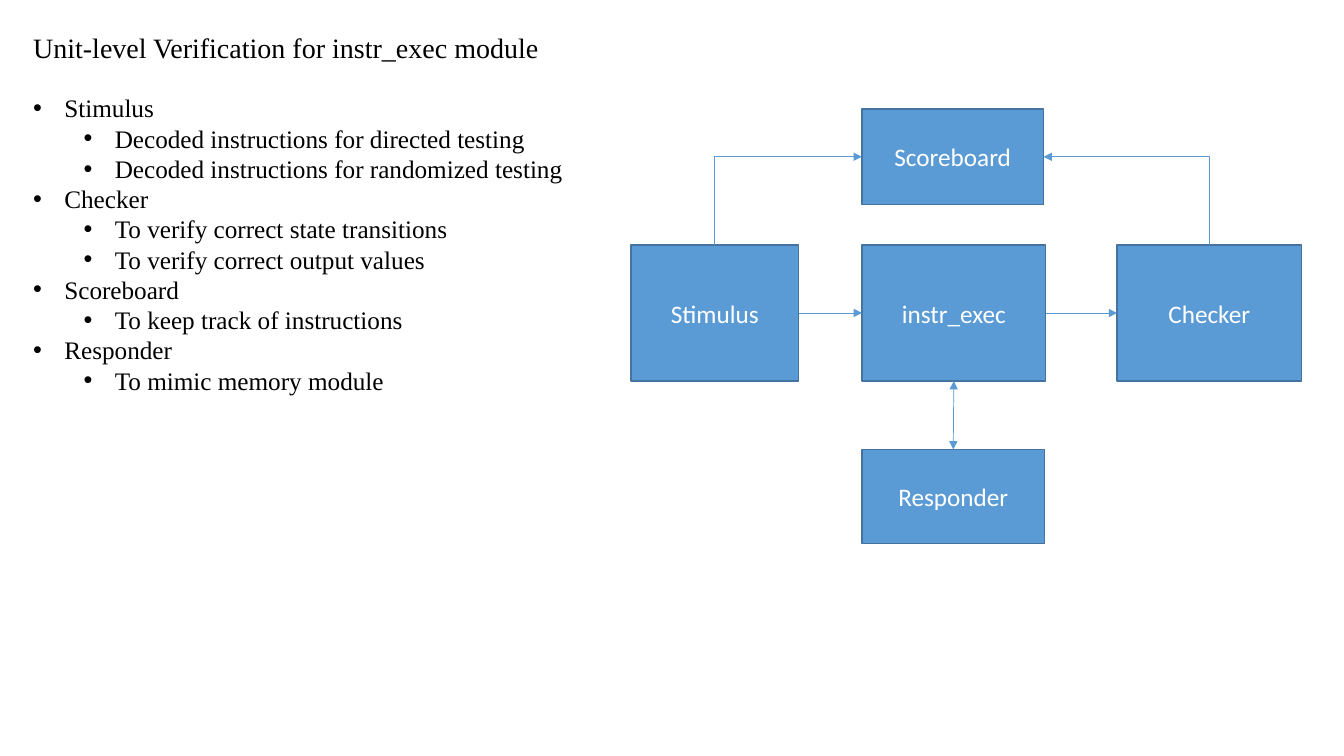
from dataclasses import dataclass

from lxml.etree import SubElement
from pptx import Presentation
from pptx.dml.color import RGBColor
from pptx.enum.shapes import MSO_CONNECTOR, MSO_SHAPE
from pptx.enum.text import MSO_ANCHOR, PP_ALIGN
from pptx.oxml.ns import qn
from pptx.shapes.autoshape import Shape
from pptx.slide import Slide
from pptx.text.text import Font
from pptx.util import Inches, Pt

TOP, LEFT, BOTTOM, RIGHT = range(4)
BLOCK_FILL, BLOCK_LINE = "5B9BD5", "43739E"
BLOCK_FORMAT = {"name": "Calibri", "size": Pt(18)}
TITLE_FORMAT = {"name": "Times New Roman", "size": Pt(20)}
BULLET_FORMAT = {**TITLE_FORMAT, "size": Pt(18)}
TITLE = "Unit-level Verification for instr_exec module"


@dataclass(frozen=True)
class Block:
    """A labelled rectangle of the testbench, measured in inches."""

    label: str
    left: float
    top: float
    width: float
    height: float


@dataclass(frozen=True)
class Link:
    """A connector between the sides of two blocks."""

    start: str
    start_side: int
    end: str
    end_side: int
    heads: tuple[str, ...] = ("tailEnd",)
    bent: bool = False


@dataclass(frozen=True)
class Topic:
    """A bullet with its sub-bullets."""

    name: str
    details: tuple[str, ...]


BLOCKS = (
    Block("instr_exec", 8.55, 2.43, 1.82, 1.35),
    Block("Stimulus", 6.26, 2.43, 1.66, 1.35),
    Block("Scoreboard", 8.55, 1.08, 1.8, 0.95),
    Block("Checker", 11.08, 2.43, 1.83, 1.35),
    Block("Responder", 8.55, 4.46, 1.81, 0.93),
)
LINKS = (
    Link("Stimulus", RIGHT, "instr_exec", LEFT),
    Link("instr_exec", RIGHT, "Checker", LEFT),
    Link("instr_exec", BOTTOM, "Responder", TOP, ("headEnd", "tailEnd")),
    Link("Scoreboard", LEFT, "Stimulus", TOP, ("headEnd",), True),
    Link("Scoreboard", RIGHT, "Checker", TOP, ("headEnd",), True),
)
TOPICS = (
    Topic("Stimulus", ("Decoded instructions for directed testing",
                       "Decoded instructions for randomized testing")),
    Topic("Checker", ("To verify correct state transitions",
                      "To verify correct output values")),
    Topic("Scoreboard", ("To keep track of instructions",)),
    Topic("Responder", ("To mimic memory module",)),
)


def color(value: str) -> RGBColor:
    """Turn a hex string into a colour."""
    return RGBColor.from_string(value)


def format_font(font: Font, values: dict, hex_color: str) -> None:
    """Apply format values and a colour to a font."""
    for name, value in values.items():
        setattr(font, name, value)
    font.color.rgb = color(hex_color)


def add_block(slide: Slide, block: Block) -> Shape:
    """Draw a block with its centred label."""
    shape = slide.shapes.add_shape(
        MSO_SHAPE.RECTANGLE, Inches(block.left), Inches(block.top),
        Inches(block.width), Inches(block.height))
    shape.shadow.inherit = False
    shape.fill.solid()
    shape.fill.fore_color.rgb = color(BLOCK_FILL)
    shape.line.color.rgb = color(BLOCK_LINE)
    shape.line.width = Pt(1)
    shape.text_frame.vertical_anchor = MSO_ANCHOR.MIDDLE
    paragraph = shape.text_frame.paragraphs[0]
    paragraph.alignment = PP_ALIGN.CENTER
    run = paragraph.add_run()
    run.text = block.label
    format_font(run.font, BLOCK_FORMAT, "FFFFFF")
    return shape


def add_link(slide: Slide, link: Link, shapes: dict[str, Shape]) -> None:
    """Connect two blocks with a straight or bent arrow."""
    kind = MSO_CONNECTOR.ELBOW if link.bent else MSO_CONNECTOR.STRAIGHT
    connector = slide.shapes.add_connector(kind, 0, 0, 0, 0)
    connector.begin_connect(shapes[link.start], link.start_side)
    connector.end_connect(shapes[link.end], link.end_side)
    connector.line.color.rgb = color(BLOCK_FILL)
    connector.line.width = Pt(0.5)
    properties = connector._element.spPr
    if link.bent:
        properties.find(qn("a:prstGeom")).set("prst", "bentConnector2")
    for head in link.heads:
        SubElement(properties.find(qn("a:ln")), qn(f"a:{head}"), type="triangle")
    SubElement(properties, qn("a:effectLst"))


def add_notes_text(slide: Slide) -> None:
    """Write the title and the two-level bullet list."""
    frame = slide.shapes.add_textbox(
        Inches(0.23), Inches(0.25), Inches(5.59), Inches(3.77)).text_frame
    frame.word_wrap = True
    title = frame.paragraphs[0]
    title.space_after = Pt(20.7)
    run = title.add_run()
    run.text = TITLE
    format_font(run.font, TITLE_FORMAT, "000000")
    bullets = [entry for topic in TOPICS
               for entry in ((0, topic.name), *((1, text) for text in topic.details))]
    for level, text in bullets:
        paragraph = frame.add_paragraph()
        paragraph.level = level
        properties = paragraph._p.get_or_add_pPr()
        properties.set("marL", str(Inches(0.31 + 0.5 * level)))
        properties.set("indent", str(Inches(-0.31)))
        SubElement(properties, qn("a:buFont"), typeface="Arial")
        SubElement(properties, qn("a:buChar"), char="•")
        run = paragraph.add_run()
        run.text = text
        format_font(run.font, BULLET_FORMAT, "000000")


def main() -> None:
    """Build and save the slide."""
    presentation = Presentation()
    presentation.slide_width = Inches(13.33)
    presentation.slide_height = Inches(7.5)
    slide = presentation.slides.add_slide(presentation.slide_layouts[6])
    shapes = {block.label: add_block(slide, block) for block in BLOCKS}
    for link in LINKS:
        add_link(slide, link, shapes)
    add_notes_text(slide)
    presentation.save("out.pptx")


main()
